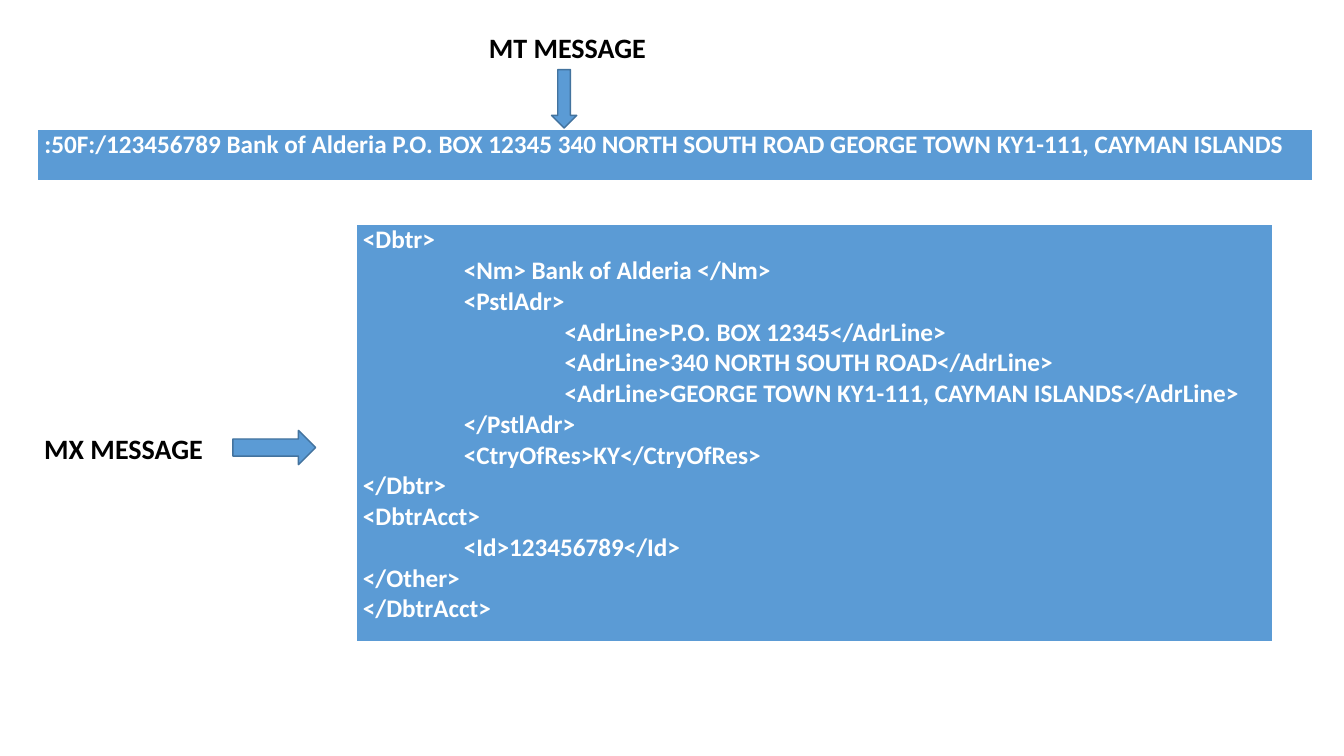
from dataclasses import dataclass

from lxml import etree
from pptx import Presentation
from pptx.dml.color import RGBColor
from pptx.enum import shapes as kinds
from pptx.oxml import ns
from pptx.slide import Slide
from pptx.text.text import TextFrame
from pptx.util import Inches, Pt


@dataclass(frozen=True)
class Theme:
    font: str = "Calibri"
    panel: str = "5B9BD5"
    outline: str = "43739E"
    light: str = "FFFFFF"
    dark: str = "000000"
    message_size: int = 18
    label_size: int = 20


@dataclass(frozen=True)
class Box:
    left: float
    top: float
    width: float
    height: float

    def lengths(self) -> tuple[Inches, ...]:
        return tuple(map(Inches, (self.left, self.top, self.width, self.height)))


@dataclass(frozen=True)
class Line:
    text: str
    level: int = 0


@dataclass(frozen=True)
class Message:
    """A labelled message: its caption, arrow and one-cell panel."""
    label: str
    label_box: Box
    arrow: kinds.MSO_SHAPE
    arrow_box: Box
    panel_box: Box
    lines: tuple[Line, ...]


THEME = Theme()
INDENT = 1.0
BORDERS = {"a:lnL": 1, "a:lnR": 1, "a:lnT": 1, "a:lnB": 3}

MESSAGES = (
    Message(
        "MT MESSAGE", Box(4.75, 0.25, 1.96, 0.44),
        kinds.MSO_SHAPE.DOWN_ARROW, Box(5.47, 0.69, 0.25, 0.58),
        Box(0.37, 1.28, 12.65, 0.52),
        (Line(":50F:/123456789 Bank of Alderia P.O. BOX 12345 340 NORTH SOUTH ROAD "
              "GEORGE TOWN KY1-111, CAYMAN ISLANDS"),),
    ),
    Message(
        "MX MESSAGE", Box(0.34, 4.23, 1.97, 0.44),
        kinds.MSO_SHAPE.RIGHT_ARROW, Box(2.31, 4.27, 0.82, 0.34),
        Box(3.53, 2.23, 9.09, 4.15),
        (
            Line("<Dbtr>"),
            Line("<Nm> Bank of Alderia </Nm>", 1),
            Line("<PstlAdr>", 1),
            Line("<AdrLine>P.O. BOX 12345</AdrLine>", 2),
            Line("<AdrLine>340 NORTH SOUTH ROAD</AdrLine>", 2),
            Line("<AdrLine>GEORGE TOWN KY1-111, CAYMAN ISLANDS</AdrLine>", 2),
            Line("</PstlAdr>", 1),
            Line("<CtryOfRes>KY</CtryOfRes>", 1),
            Line("</Dbtr>"),
            Line("<DbtrAcct>"),
            Line("<Id>123456789</Id>", 1),
            Line("</Other>"),
            Line("</DbtrAcct>"),
        ),
    ),
)


def write_lines(frame: TextFrame, lines: tuple[Line, ...], size: int, color: str) -> None:
    frame.text = "\n".join(line.text for line in lines)
    for paragraph, line in zip(frame.paragraphs, lines):
        if line.level:
            properties = paragraph._p.get_or_add_pPr()
            properties.set("marL", str(Inches(INDENT * line.level)))
            properties.set("indent", "0")
        for run in paragraph.runs:
            run.font.name = THEME.font
            run.font.size = Pt(size)
            run.font.bold = True
            run.font.color.rgb = RGBColor.from_string(color)


def add_panel(slide: Slide, message: Message) -> None:
    table = slide.shapes.add_table(1, 1, *message.panel_box.lengths()).table
    table.first_row = table.horz_banding = False
    cell = table.cell(0, 0)
    cell.margin_left = cell.margin_right = Inches(0.07)
    cell.margin_top = cell.margin_bottom = 0
    write_lines(cell.text_frame, message.lines, THEME.message_size, THEME.light)

    # Borders come before the fill in the cell properties
    properties = cell._tc.get_or_add_tcPr()
    for tag, width in BORDERS.items():
        border = etree.SubElement(properties, ns.qn(tag), w=str(Pt(width)))
        fill = etree.SubElement(border, ns.qn("a:solidFill"))
        etree.SubElement(fill, ns.qn("a:srgbClr"), val=THEME.light)
    cell.fill.solid()
    cell.fill.fore_color.rgb = RGBColor.from_string(THEME.panel)


def add_label(slide: Slide, message: Message) -> None:
    frame = slide.shapes.add_textbox(*message.label_box.lengths()).text_frame
    frame.word_wrap = True
    write_lines(frame, (Line(message.label),), THEME.label_size, THEME.dark)


def add_arrow(slide: Slide, message: Message) -> None:
    arrow = slide.shapes.add_shape(message.arrow, *message.arrow_box.lengths())
    arrow.shadow.inherit = False
    arrow.fill.solid()
    arrow.fill.fore_color.rgb = RGBColor.from_string(THEME.panel)
    arrow.line.color.rgb = RGBColor.from_string(THEME.outline)
    arrow.line.width = Pt(1)


def main() -> None:
    deck = Presentation()
    deck.slide_width, deck.slide_height = Inches(13.33), Inches(7.5)
    slide = deck.slides.add_slide(deck.slide_layouts[6])

    # Each message format: panel, caption and pointer
    for message in MESSAGES:
        add_panel(slide, message)
        add_label(slide, message)
        add_arrow(slide, message)

    deck.save("out.pptx")


if __name__ == "__main__":
    main()
